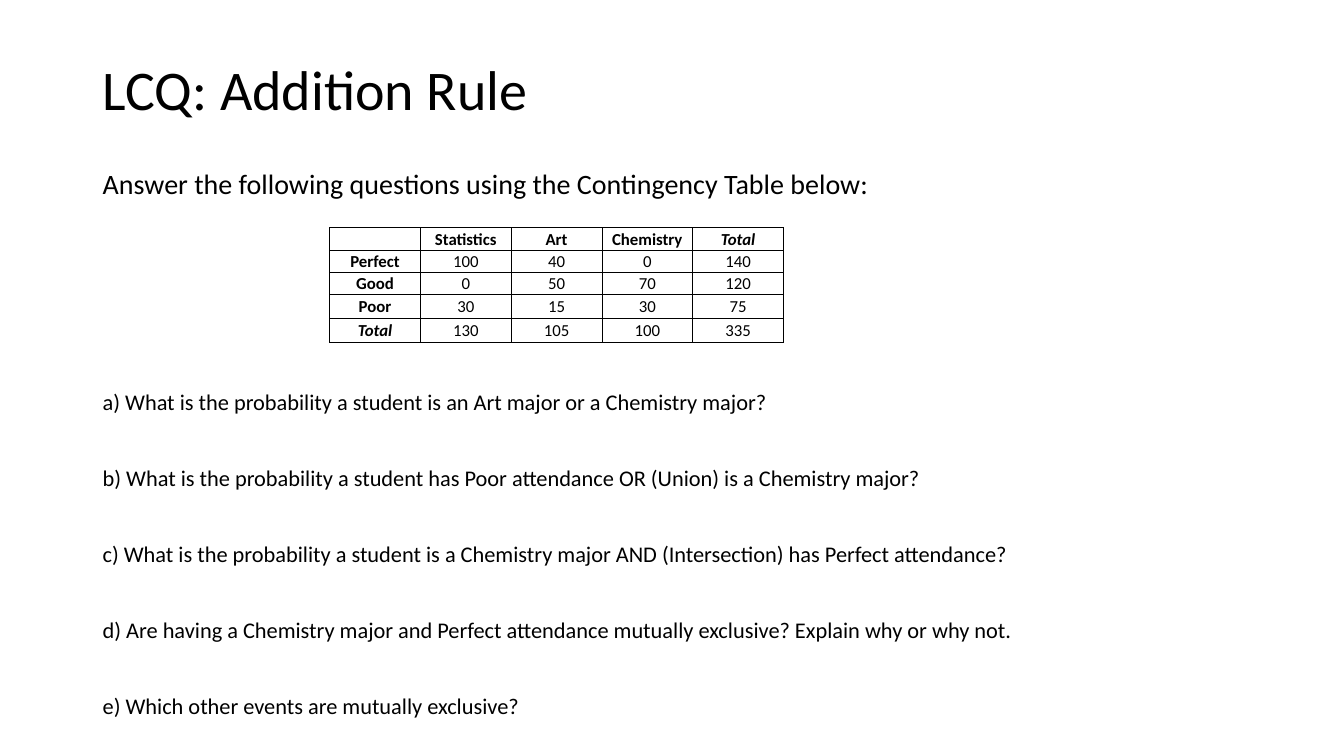
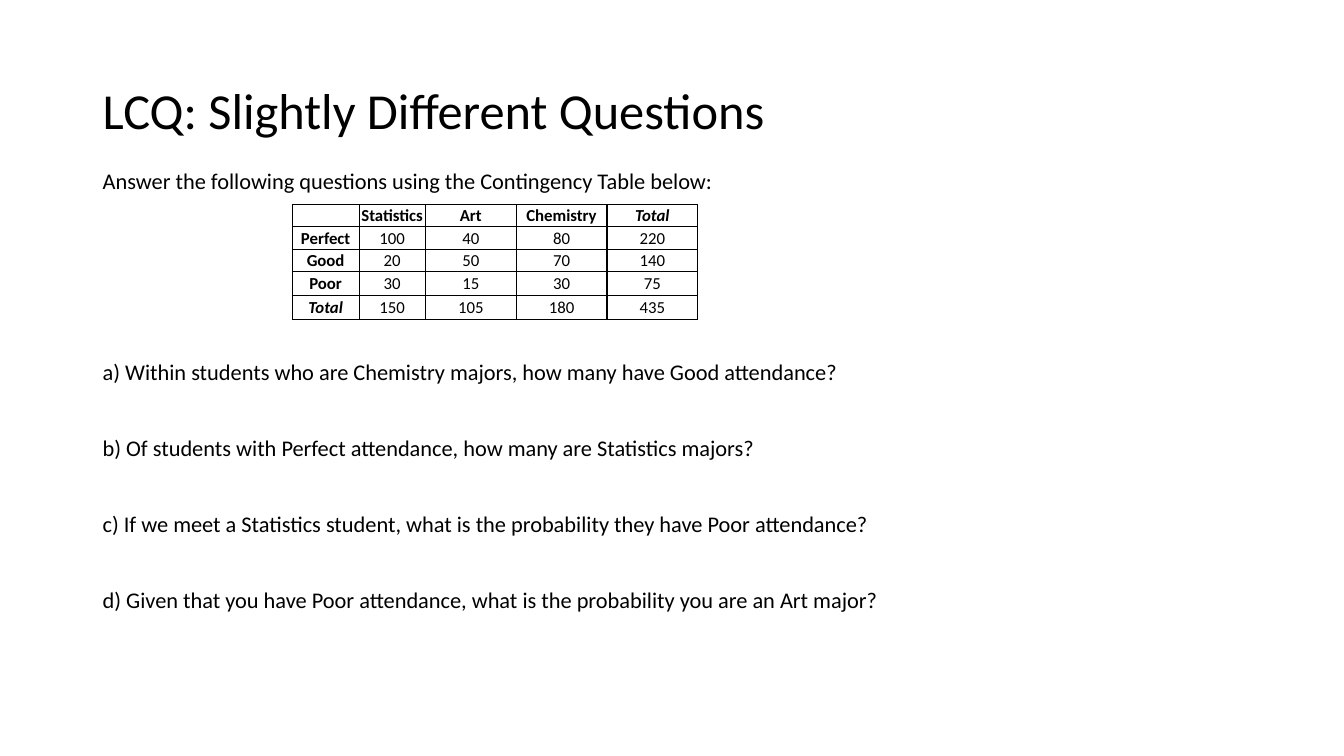
"""Build two quiz slides, each with a contingency table and lettered questions."""
from dataclasses import dataclass

from lxml import etree
from pptx import Presentation
from pptx.dml.color import RGBColor
from pptx.enum.text import MSO_ANCHOR, PP_ALIGN
from pptx.oxml.ns import qn
from pptx.util import Inches, Pt

TOP, MIDDLE = MSO_ANCHOR.TOP, MSO_ANCHOR.MIDDLE
CENTER = PP_ALIGN.CENTER


@dataclass(frozen=True)
class Theme:
    font: str = "Calibri"
    ink: str = "000000"
    question_size: int = 16
    cell_size: int = 12
    line_spacing: float = 0.9
    question_gap: int = 37
    thin: float = 0.5
    thick: float = 1


THEME = Theme()
WIDTH, HEIGHT = 13.33, 7.5
LEFT, CONTENT_WIDTH = 0.92, 11.5
TITLE_HEIGHT, BODY_TOP = 1.45, 1.64
ROW_HEIGHTS = [0.22, 0.22, 0.22, 0.24, 0.24]
THICK_EDGES = (0, 4, 5)
HEADER = ["", "Statistics", "Art", "Chemistry", "Total"]
INTRO = "Answer the following questions using the Contingency Table below:"

SLIDES = [
    {
        "title": "LCQ: Addition Rule", "title_top": 0.19, "title_size": 40,
        "intro_size": 20, "table_gap": 136,
        "table_at": (3.27, 2.26), "columns": [0.9] * 5,
        "rows": [
            HEADER,
            ["Perfect", "100", "40", "0", "140"],
            ["Good", "0", "50", "70", "120"],
            ["Poor", "30", "15", "30", "75"],
            ["Total", "130", "105", "100", "335"],
        ],
        "questions": [
            "a) What is the probability a student is an Art major or a Chemistry major?",
            "b) What is the probability a student has Poor attendance OR (Union) is a Chemistry major?",
            "c) What is the probability a student is a Chemistry major AND (Intersection) has Perfect attendance?",
            "d) Are having a Chemistry major and Perfect attendance mutually exclusive? Explain why or why not.",
            "e) Which other events are mutually exclusive?",
        ],
    },
    {
        "title": "LCQ: Slightly Different Questions", "title_top": 0.4, "title_size": 36,
        "intro_size": 16, "table_gap": 119,
        "table_at": (2.9, 2.03), "columns": [0.66] * 2 + [0.9] * 3,
        "rows": [
            HEADER,
            ["Perfect", "100", "40", "80", "220"],
            ["Good", "20", "50", "70", "140"],
            ["Poor", "30", "15", "30", "75"],
            ["Total", "150", "105", "180", "435"],
        ],
        "questions": [
            "a) Within students who are Chemistry majors, how many have Good attendance?",
            "b) Of students with Perfect attendance, how many are Statistics majors?",
            "c) If we meet a Statistics student, what is the probability they have Poor attendance?",
            "d) Given that you have Poor attendance, what is the probability you are an Art major?",
        ],
    },
]


def add_text(page, top, height, anchor, lines):
    """Add a text box from (text, size, space before) lines."""
    box = page.shapes.add_textbox(Inches(LEFT), Inches(top), Inches(CONTENT_WIDTH), Inches(height))
    frame = box.text_frame
    frame.word_wrap = True
    frame.vertical_anchor = anchor
    frame.text = "\n".join(text for text, _, _ in lines)
    for para, (_, size, gap) in zip(frame.paragraphs, lines):
        para.line_spacing = THEME.line_spacing
        para.space_before = Pt(gap)
        style_runs(para, size)


def style_runs(para, size, bold=False, italic=False):
    """Apply the theme font to every run of a paragraph."""
    for span in para.runs:
        span.font.name = THEME.font
        span.font.size = Pt(size)
        span.font.bold = bold
        span.font.italic = italic
        span.font.color.rgb = RGBColor.from_string(THEME.ink)


deck = Presentation()
deck.slide_width, deck.slide_height = Inches(WIDTH), Inches(HEIGHT)

for content in SLIDES:
    page = deck.slides.add_slide(deck.slide_layouts[6])
    add_text(page, content["title_top"], TITLE_HEIGHT, MIDDLE,
             [(content["title"], content["title_size"], 0)])

    gaps = [content["table_gap"]] + [THEME.question_gap] * (len(content["questions"]) - 1)
    lines = [(INTRO, content["intro_size"], 0)]
    lines += [(text, THEME.question_size, gap) for text, gap in zip(content["questions"], gaps)]
    add_text(page, BODY_TOP, HEIGHT - BODY_TOP, TOP, lines)

    left, top = content["table_at"]
    columns, rows = content["columns"], content["rows"]
    table = page.shapes.add_table(
        len(rows), len(columns), Inches(left), Inches(top),
        Inches(sum(columns)), Inches(sum(ROW_HEIGHTS))).table
    table.first_row = table.horz_banding = False
    for column, width in zip(table.columns, columns):
        column.width = Inches(width)
    for row, height in zip(table.rows, ROW_HEIGHTS):
        row.height = Inches(height)

    for row_index, values in enumerate(rows):
        for column_index, value in enumerate(values):
            cell = table.cell(row_index, column_index)
            cell.margin_left = cell.margin_right = cell.margin_top = Inches(0.01)
            cell.margin_bottom = 0
            cell.vertical_anchor = MIDDLE
            cell.text = value
            para = cell.text_frame.paragraphs[0]
            para.alignment = CENTER
            style_runs(para, THEME.cell_size, bold=0 in (row_index, column_index),
                       italic=value == "Total")
            etree.SubElement(para._p, qn("a:endParaRPr"), sz=str(THEME.cell_size * 100))

            properties = cell._tc.get_or_add_tcPr()
            edges = {"L": column_index, "R": column_index + 1, "T": row_index, "B": row_index + 1}
            for side, edge in edges.items():
                weight = THEME.thick if edge in THICK_EDGES else THEME.thin
                line = etree.SubElement(properties, qn(f"a:ln{side}"), w=str(Pt(weight)))
                fill = etree.SubElement(line, qn("a:solidFill"))
                etree.SubElement(fill, qn("a:srgbClr"), val=THEME.ink)
            cell.fill.background()

deck.save("out.pptx")
